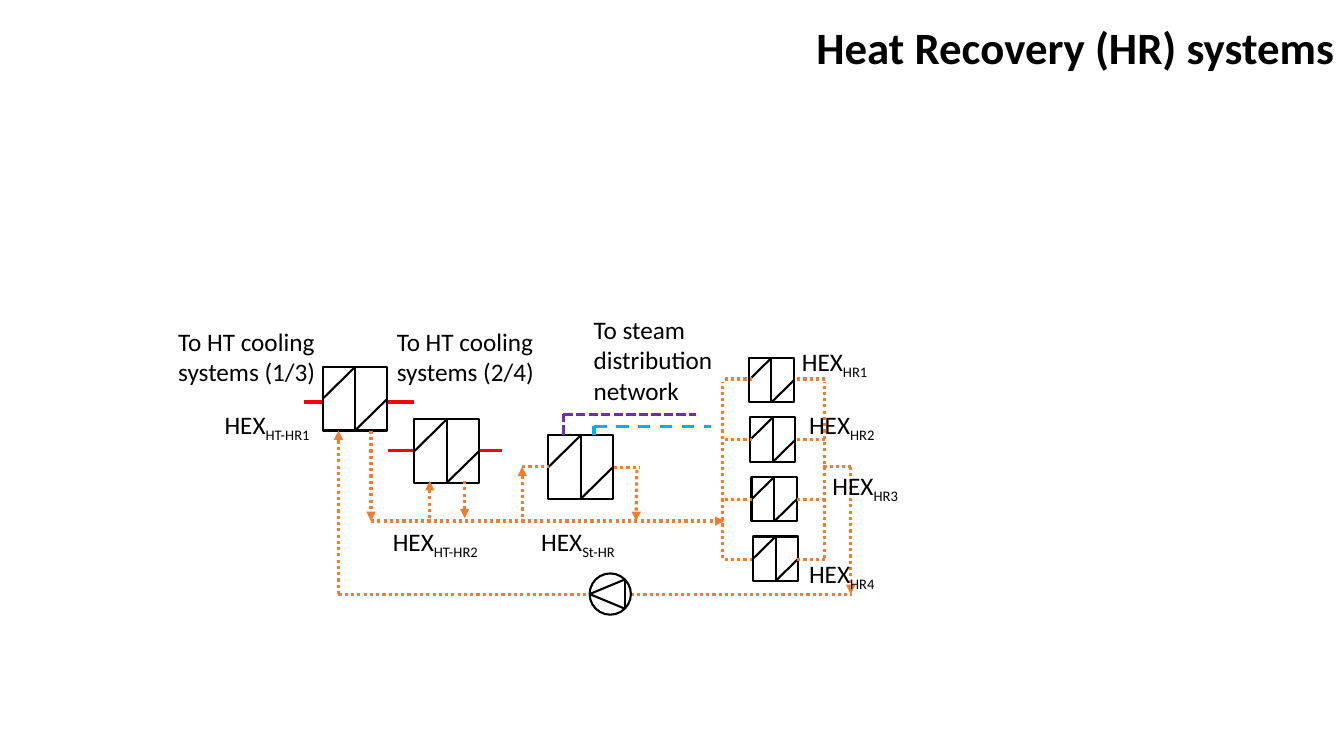
from lxml import etree
from pptx import Presentation
from pptx import util as u
from pptx.dml.color import RGBColor
from pptx.enum import dml, shapes, text
from pptx.oxml import ns

Cm = u.Cm
BLACK = RGBColor(0x00, 0x00, 0x00)
WHITE = RGBColor(0xFF, 0xFF, 0xFF)
RED = RGBColor(0xFF, 0x00, 0x00)
ORANGE = RGBColor(0xED, 0x7D, 0x31)
BLUE = RGBColor(0x00, 0xB0, 0xF0)
PURPLE = RGBColor(0x70, 0x30, 0xA0)

DASH = dml.MSO_LINE
INK = {"color": BLACK, "width": 1.5}
HOT = {"color": RED, "width": 2.25}
LOOP = {"color": ORANGE, "width": 2.25, "dash": DASH.ROUND_DOT}
STEAM = {"color": PURPLE, "width": 2.25, "dash": DASH.SQUARE_DOT}
WATER = {"color": BLUE, "width": 2.25, "dash": DASH.DASH}

BODY = {"name": "Calibri", "size": u.Pt(18)}
HEAD = {"name": "Calibri", "size": u.Pt(32), "bold": True}

BASE = 14.97    # return line with the pump
MAIN = 13.13    # supply line to the consumers


def stroke(line, style):
    line.color.rgb = style["color"]
    line.width = u.Pt(style["width"])
    if "dash" in style:
        line.dash_style = style["dash"]


def pipe(host, x1, y1, x2, y2, style, arrow=False):
    line = host.add_connector(shapes.MSO_CONNECTOR.STRAIGHT,
                              Cm(x1), Cm(y1), Cm(x2), Cm(y2))
    stroke(line.line, style)
    if arrow:
        end = etree.SubElement(line.line._get_or_add_ln(), ns.qn("a:tailEnd"))
        end.set("type", "triangle")
    etree.SubElement(line._element.spPr, ns.qn("a:effectLst"))


def body(host, kind, x, y, w, h):
    item = host.add_shape(kind, Cm(x), Cm(y), Cm(w), Cm(h))
    item.shadow.inherit = False
    item.fill.solid()
    item.fill.fore_color.rgb = WHITE
    stroke(item.line, INK)


def hex_unit(host, x, y, w, h):
    unit = host.add_group_shape().shapes
    body(unit, shapes.MSO_SHAPE.RECTANGLE, x, y, w, h)
    mid, half = x + w / 2, y + h / 2
    pipe(unit, x, half, mid, y, INK)
    pipe(unit, mid, y + h, mid, y, INK)
    pipe(unit, mid, y + h, x + w, half, INK)


def pump(host, x, y, size):
    unit = host.add_group_shape().shapes
    body(unit, shapes.MSO_SHAPE.OVAL, x, y, size, size)
    tip, back = y + size / 2, x + 0.89
    top, low = tip - 0.37, tip + 0.37
    pipe(unit, back, top, back, low, INK)
    for end in (top, low):
        pipe(unit, x, tip, back, end, INK)


def add_run(para, words, style):
    run = para.add_run()
    run.text = words
    run.font.color.rgb = BLACK
    for key, value in style.items():
        setattr(run.font, key, value)
    return run


def label(host, x, y, w, h, words, style=BODY, wrap=True):
    frame = host.add_textbox(Cm(x), Cm(y), Cm(w), Cm(h)).text_frame
    frame.word_wrap = wrap
    frame.auto_size = text.MSO_AUTO_SIZE.SHAPE_TO_FIT_TEXT
    add_run(frame.paragraphs[0], words, style)
    return frame.paragraphs[0]


def tag(host, x, y, w, sub):
    para = label(host, x, y, w, 1.02, "HEX", wrap=False)
    run = add_run(para, sub, BODY)
    run._r.get_or_add_rPr().set("baseline", "-25000")


def main():
    deck = Presentation()
    deck.slide_width, deck.slide_height = Cm(33.87), Cm(19.05)
    host = deck.slides.add_slide(deck.slide_layouts[6]).shapes

    # High-temperature lines, behind the exchangers
    pipe(host, 7.65, 10.13, 10.44, 10.13, HOT)
    for x1, x2 in ((9.78, 10.44), (12.01, 12.65)):
        pipe(host, x1, 11.35, x2, 11.35, HOT)

    # Heat sources
    for x, y in ((8.13, 9.25), (10.44, 10.57), (13.82, 10.97)):
        hex_unit(host, x, y, 1.63, 1.6)

    # Consumers with their branches
    for i in range(4):
        hex_unit(host, 18.87 + 0.035 * i, 9.02 + 1.5 * i, 1.14, 1.12)
        y = 9.55 + 1.515 * i
        for x in (18.26, 20.09):
            pipe(host, x, y, x + 0.69, y, LOOP)
    for x in (18.21, 20.78):
        pipe(host, x, 14.06, x, 9.63, LOOP)

    # Heat recovery loop
    for ends in ((13.16, 11.76, 13.84, 11.76), (15.47, 11.79, 16.13, 11.79),
                 (20.75, 11.76, 21.44, 11.76), (15.9, BASE, 21.46, BASE),
                 (8.53, BASE, 14.86, BASE)):
        pipe(host, *ends, LOOP)
    for ends in ((8.53, BASE, 8.53, 10.85), (9.35, 10.85, 9.35, MAIN),
                 (10.83, 13.06, 10.83, 12.12), (11.71, 12.12, 11.71, 13.06),
                 (13.16, 13.18, 13.16, 11.76), (16.05, 11.84, 16.03, MAIN),
                 (21.44, 11.76, 21.44, BASE), (9.35, MAIN, 18.26, MAIN)):
        pipe(host, *ends, LOOP, arrow=True)
    pump(host, 14.86, 14.45, 1.04)

    # Steam network lines
    for x, low, top, end, style in ((14.97, 10.97, 10.74, 17.93, WATER),
                                    (14.2, 10.95, 10.44, 17.55, STEAM)):
        pipe(host, x, top, end, top, style)
        pipe(host, x, low, x, top, style)

    # Exchanger names
    for x, y, w, sub in ((5.41, 10.19, 2.84, "HT-HR1"),
                         (9.65, 13.13, 2.84, "HT-HR2"),
                         (13.39, 13.13, 2.49, "St-HR"),
                         (19.96, 8.59, 2.26, "HR1"),
                         (20.14, 10.19, 2.26, "HR2"),
                         (20.73, 11.73, 2.26, "HR3"),
                         (20.14, 13.94, 2.26, "HR4")):
        tag(host, x, y, w, sub)

    # Notes and title
    label(host, 4.24, 8.1, 4.65, 1.8, "To HT cooling systems (1/3)")
    label(host, 9.75, 8.1, 4.65, 1.8, "To HT cooling systems (2/4)")
    label(host, 14.71, 7.8, 5.03, 2.57, "To steam distribution network")
    title = label(host, 16.13, 0.36, 17.75, 1.63,
                  "Heat Recovery (HR) systems", HEAD)
    title.alignment = text.PP_ALIGN.RIGHT

    deck.save("out.pptx")


main()
